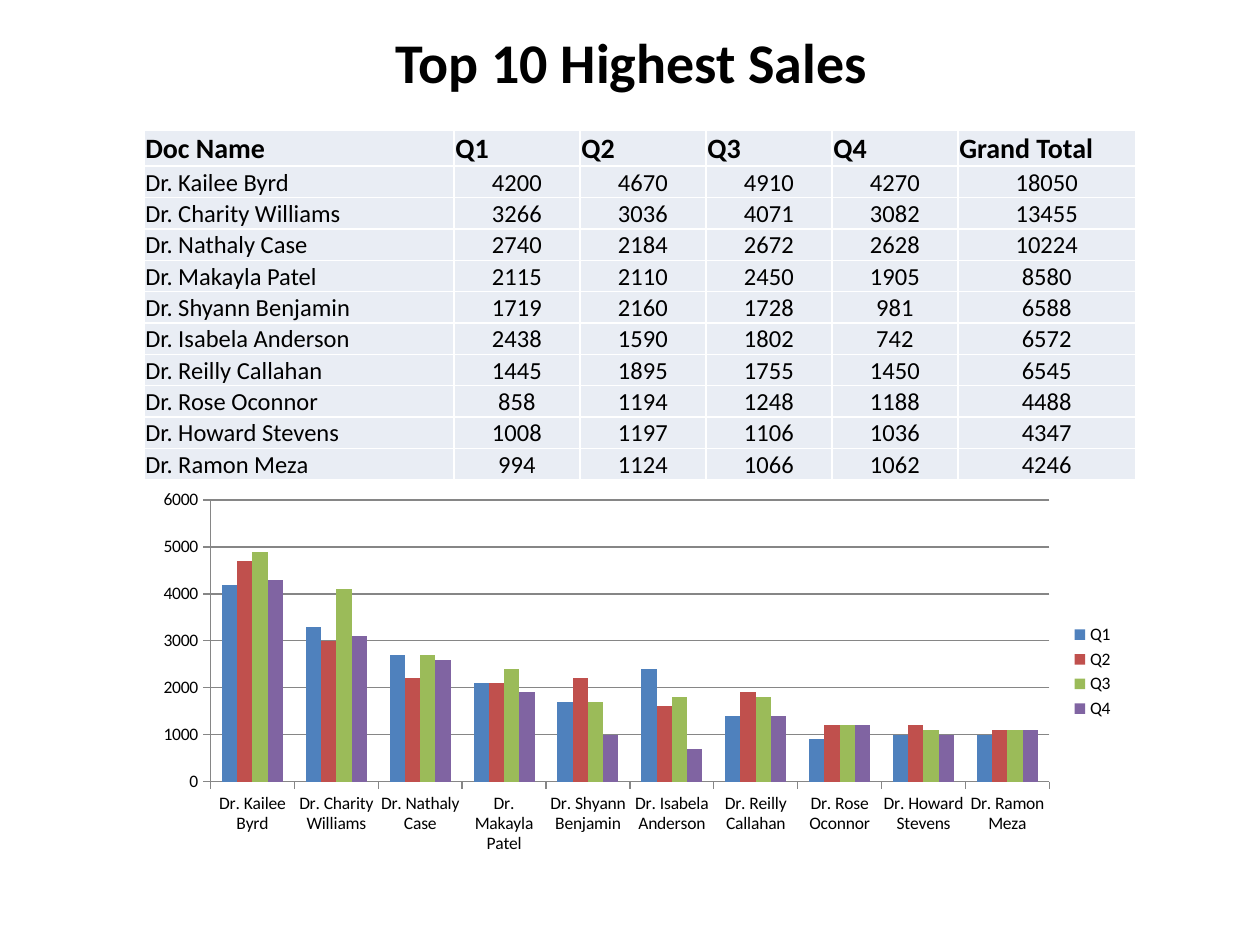
from dataclasses import dataclass

from lxml import etree
from pptx import Presentation
from pptx import util as u
from pptx.chart import data as chart_data
from pptx.dml.color import RGBColor
from pptx.enum import chart as ch, text as t
from pptx.oxml import ns


@dataclass(frozen=True)
class Theme:
    font: str = "Calibri"
    ink: str = "000000"
    cell: str = "E9EDF4"
    border: str = "FFFFFF"
    axis: str = "868686"
    series: tuple = ("4F81BD", "C0504D", "9BBB59", "8064A2")
    title_size: int = 32
    header_size: int = 16
    body_size: int = 14
    chart_size: int = 10


THEME = Theme()
QUARTERS = ["Q1", "Q2", "Q3", "Q4"]
SALES = {
    "Dr. Kailee Byrd": (4200, 4670, 4910, 4270),
    "Dr. Charity Williams": (3266, 3036, 4071, 3082),
    "Dr. Nathaly Case": (2740, 2184, 2672, 2628),
    "Dr. Makayla Patel": (2115, 2110, 2450, 1905),
    "Dr. Shyann Benjamin": (1719, 2160, 1728, 981),
    "Dr. Isabela Anderson": (2438, 1590, 1802, 742),
    "Dr. Reilly Callahan": (1445, 1895, 1755, 1450),
    "Dr. Rose Oconnor": (858, 1194, 1248, 1188),
    "Dr. Howard Stevens": (1008, 1197, 1106, 1036),
    "Dr. Ramon Meza": (994, 1124, 1066, 1062),
}


def style_font(font, size, bold=False):
    font.name = THEME.font
    font.size = u.Pt(size)
    font.bold = bold
    font.color.rgb = RGBColor.from_string(THEME.ink)


def write_text(frame, text, *, size, bold=False, align=t.PP_ALIGN.LEFT):
    para = frame.paragraphs[0]
    para.alignment = align
    span = para.add_run()
    span.text = text
    style_font(span.font, size, bold)


def add_title(page, text):
    box = page.shapes.add_textbox(u.Cm(1.3), u.Cm(0.33), u.Cm(22.86), u.Cm(1.8))
    frame = box.text_frame
    frame.word_wrap = True
    frame.vertical_anchor = t.MSO_ANCHOR.MIDDLE
    write_text(frame, text, size=THEME.title_size, bold=True, align=t.PP_ALIGN.CENTER)


def style_cell(cell):
    cell.vertical_anchor = t.MSO_ANCHOR.BOTTOM
    cell.margin_left = cell.margin_right = cell.margin_top = u.Cm(0.03)
    cell.margin_bottom = 0
    # Borders come before the fill in the cell properties
    properties = cell._tc.get_or_add_tcPr()
    for side in ("a:lnL", "a:lnR", "a:lnT", "a:lnB"):
        line = etree.SubElement(properties, ns.qn(side), w=str(u.Pt(1)))
        fill = etree.SubElement(line, ns.qn("a:solidFill"))
        etree.SubElement(fill, ns.qn("a:srgbClr"), val=THEME.border)
    cell.fill.solid()
    cell.fill.fore_color.rgb = RGBColor.from_string(THEME.cell)


def add_sales_table(page):
    rows = [["Doc Name", *QUARTERS, "Grand Total"]]
    rows += [[name, *sales, sum(sales)] for name, sales in SALES.items()]
    widths = [6.25] + [2.54] * len(QUARTERS) + [3.58]
    row_height = u.Cm(0.58)
    table = page.shapes.add_table(
        len(rows), len(widths), u.Cm(2.9), u.Cm(2.63),
        u.Cm(sum(widths)), row_height * len(rows)).table
    table.horz_banding = False
    table.first_row = False
    for column, width in zip(table.columns, widths):
        column.width = u.Cm(width)
    for r, values in enumerate(rows):
        table.rows[r].height = row_height
        header = r == 0
        for c, value in enumerate(values):
            cell = table.cell(r, c)
            style_cell(cell)
            write_text(
                cell.text_frame, str(value), bold=header,
                size=THEME.header_size if header else THEME.body_size,
                align=t.PP_ALIGN.LEFT if header or c == 0 else t.PP_ALIGN.CENTER)


def style_line(line):
    line.color.rgb = RGBColor.from_string(THEME.axis)


def add_sales_chart(page):
    # Values are charted to the nearest hundred
    data = chart_data.CategoryChartData()
    data.categories = list(SALES)
    for quarter, values in zip(QUARTERS, zip(*SALES.values())):
        data.add_series(quarter, [round(value, -2) for value in values])
    chart = page.shapes.add_chart(
        ch.XL_CHART_TYPE.COLUMN_CLUSTERED,
        u.Cm(2.9), u.Cm(9.73), u.Cm(19.81), u.Cm(7.62), data).chart
    chart.has_title = False
    style_font(chart.font, THEME.chart_size)

    # Legend
    chart.has_legend = True
    chart.legend.position = ch.XL_LEGEND_POSITION.RIGHT
    chart.legend.include_in_layout = False

    # Columns
    plot = chart.plots[0]
    plot.vary_by_categories = False
    plot.gap_width = 150
    plot.overlap = 0
    for series, color in zip(plot.series, THEME.series):
        series.format.fill.solid()
        series.format.fill.fore_color.rgb = RGBColor.from_string(color)

    # Axes
    for axis in (chart.category_axis, chart.value_axis):
        axis.major_tick_mark = ch.XL_TICK_MARK.OUTSIDE
        axis.minor_tick_mark = ch.XL_TICK_MARK.NONE
        style_line(axis.format.line)
    value_axis = chart.value_axis
    value_axis.minimum_scale = 0
    value_axis.maximum_scale = 6000
    value_axis.major_unit = 1000
    value_axis.has_major_gridlines = True
    style_line(value_axis.major_gridlines.format.line)


def main():
    deck = Presentation()
    deck.slide_width = u.Cm(25.4)
    deck.slide_height = u.Cm(19.05)
    page = deck.slides.add_slide(deck.slide_layouts[6])
    add_sales_table(page)
    add_sales_chart(page)
    add_title(page, "Top 10 Highest Sales")
    deck.save("out.pptx")


if __name__ == "__main__":
    main()
